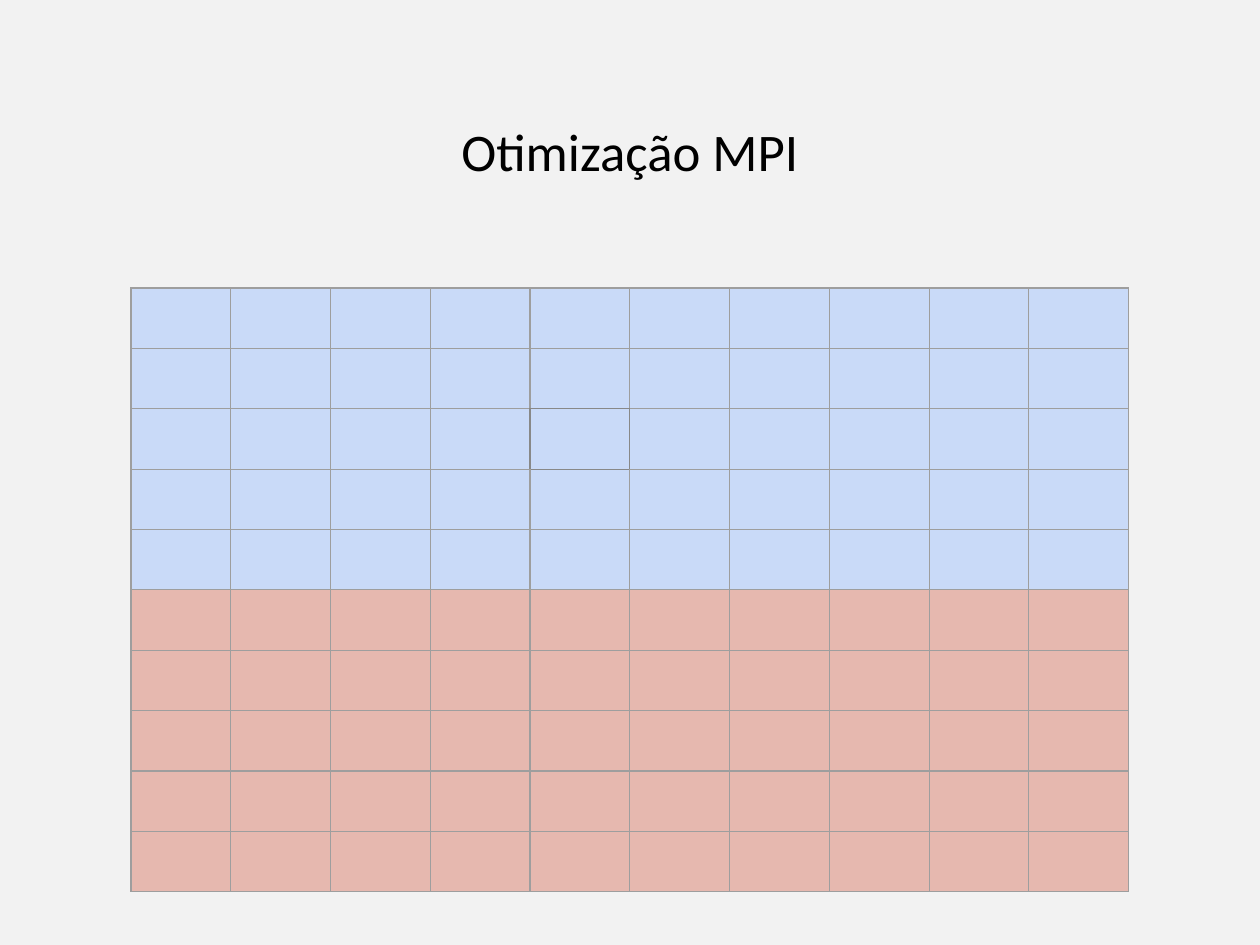
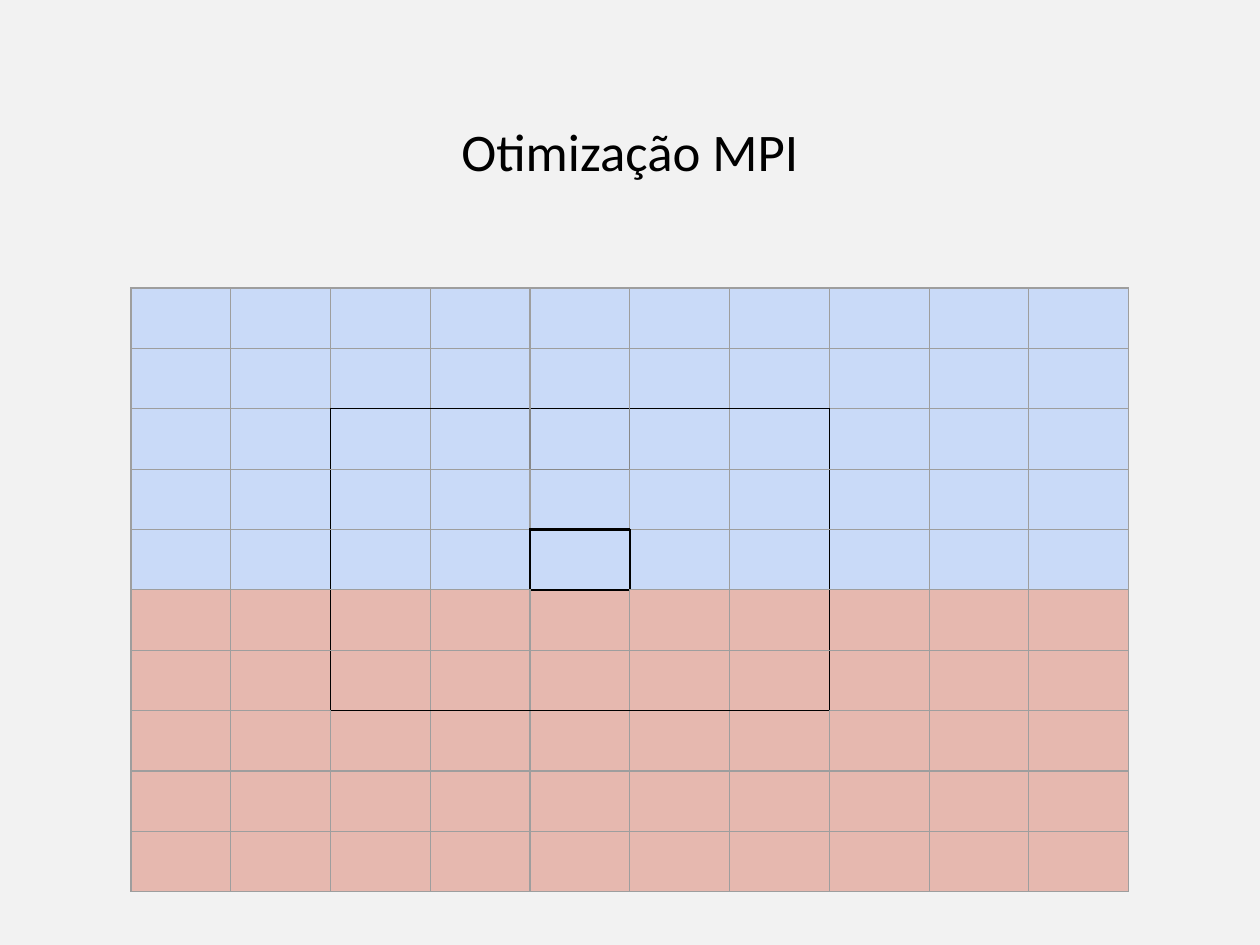
from dataclasses import dataclass
from itertools import product

from lxml.etree import SubElement
from pptx import Presentation
from pptx.dml.color import RGBColor as Rgb
from pptx.enum.text import MSO_ANCHOR as Anchor, MSO_AUTO_SIZE as AutoSize, PP_ALIGN as Align
from pptx.oxml.ns import qn
from pptx.util import Emu, Pt

PX = 914400 / 126
TITLE_ONLY = 5
GRID_SIZE = 10
FIRST_PROCESS_ROWS = 5


@dataclass(frozen=True)
class Theme:
    background: str = "F2F2F2"
    text: str = "000000"
    first_process: str = "C9DAF8"
    second_process: str = "E6B8AF"
    grid_line: str = "9E9E9E"
    soft_line: str = "888888"
    strong_line: str = "000000"
    thin: float = 0.75
    thick: float = 1.5
    font: str = "Calibri"
    title_size: float = 30.2


@dataclass(frozen=True)
class Outline:
    """A rectangle of grid cells with its own border."""
    row: int
    column: int
    span: int
    color: str
    width: float


THEME = Theme()
TITLE_BOX = (43, 82, 1174, 105)
GRID_BOX = (131, 288, 998, 604)

SOFT_CELL = Outline(2, 4, 1, THEME.soft_line, THEME.thin)
NEIGHBOURHOOD = Outline(2, 2, 5, THEME.strong_line, THEME.thin)
CENTRE_CELL = Outline(4, 4, 1, THEME.strong_line, THEME.thick)


def px(length):
    return Emu(round(length * PX))


def place_title(page, box, text):
    title = page.shapes.title
    title.left, title.top, title.width, title.height = map(px, box)
    frame = title.text_frame
    frame.auto_size = AutoSize.NONE
    frame.word_wrap = True
    frame.vertical_anchor = Anchor.MIDDLE
    para = frame.paragraphs[0]
    para.alignment = Align.CENTER
    para.line_spacing = 1.5
    span = para.add_run()
    span.text = text
    span.font.name = THEME.font
    span.font.size = Pt(THEME.title_size)
    span.font.color.rgb = Rgb.from_string(THEME.text)


def cell_edges(row, column):
    """Name the four grid edges of a cell; neighbours share the same names."""
    return {
        "L": ("vertical", row, column),
        "R": ("vertical", row, column + 1),
        "T": ("horizontal", row, column),
        "B": ("horizontal", row + 1, column),
    }


def outline_edges(outlines):
    """Map each outlined edge to its colour and width; later outlines win."""
    edges = {}
    for outline in outlines:
        style = (outline.color, outline.width)
        last = outline.span - 1
        for step in range(outline.span):
            row, column = outline.row + step, outline.column + step
            edges[cell_edges(row, outline.column)["L"]] = style
            edges[cell_edges(row, outline.column + last)["R"]] = style
            edges[cell_edges(outline.row, column)["T"]] = style
            edges[cell_edges(outline.row + last, column)["B"]] = style
    return edges


def draw_border(cell, side, color, width):
    properties = cell._tc.get_or_add_tcPr()
    line = SubElement(properties, qn(f"a:ln{side}"), w=str(Pt(width)), cap="flat", cmpd="sng")
    fill = SubElement(line, qn("a:solidFill"))
    SubElement(fill, qn("a:srgbClr"), val=color)
    SubElement(line, qn("a:prstDash"), val="solid")


def place_process_grid(page, box, outlines):
    left, top, width, height = map(px, box)
    table = page.shapes.add_table(GRID_SIZE, GRID_SIZE, left, top, width, height).table
    table.first_row = False
    table.horz_banding = False
    for column in table.columns:
        column.width = Emu(width // GRID_SIZE)
    for row in table.rows:
        row.height = Emu(height // GRID_SIZE)

    edges = outline_edges(outlines)
    plain = (THEME.grid_line, THEME.thin)
    for row, column in product(range(GRID_SIZE), repeat=2):
        cell = table.cell(row, column)
        for side, edge in cell_edges(row, column).items():
            draw_border(cell, side, *edges.get(edge, plain))
        color = THEME.first_process if row < FIRST_PROCESS_ROWS else THEME.second_process
        cell.fill.solid()
        cell.fill.fore_color.rgb = Rgb.from_string(color)


def add_grid_page(deck, outlines):
    page = deck.slides.add_slide(deck.slide_layouts[TITLE_ONLY])
    place_title(page, TITLE_BOX, "Otimização MPI")
    place_process_grid(page, GRID_BOX, outlines)


def main():
    deck = Presentation()
    deck.slide_width, deck.slide_height = px(1260), px(945)
    background = deck.slide_master.background.fill
    background.solid()
    background.fore_color.rgb = Rgb.from_string(THEME.background)
    add_grid_page(deck, [SOFT_CELL])
    add_grid_page(deck, [SOFT_CELL, NEIGHBOURHOOD, CENTRE_CELL])
    deck.save("out.pptx")


if __name__ == "__main__":
    main()
